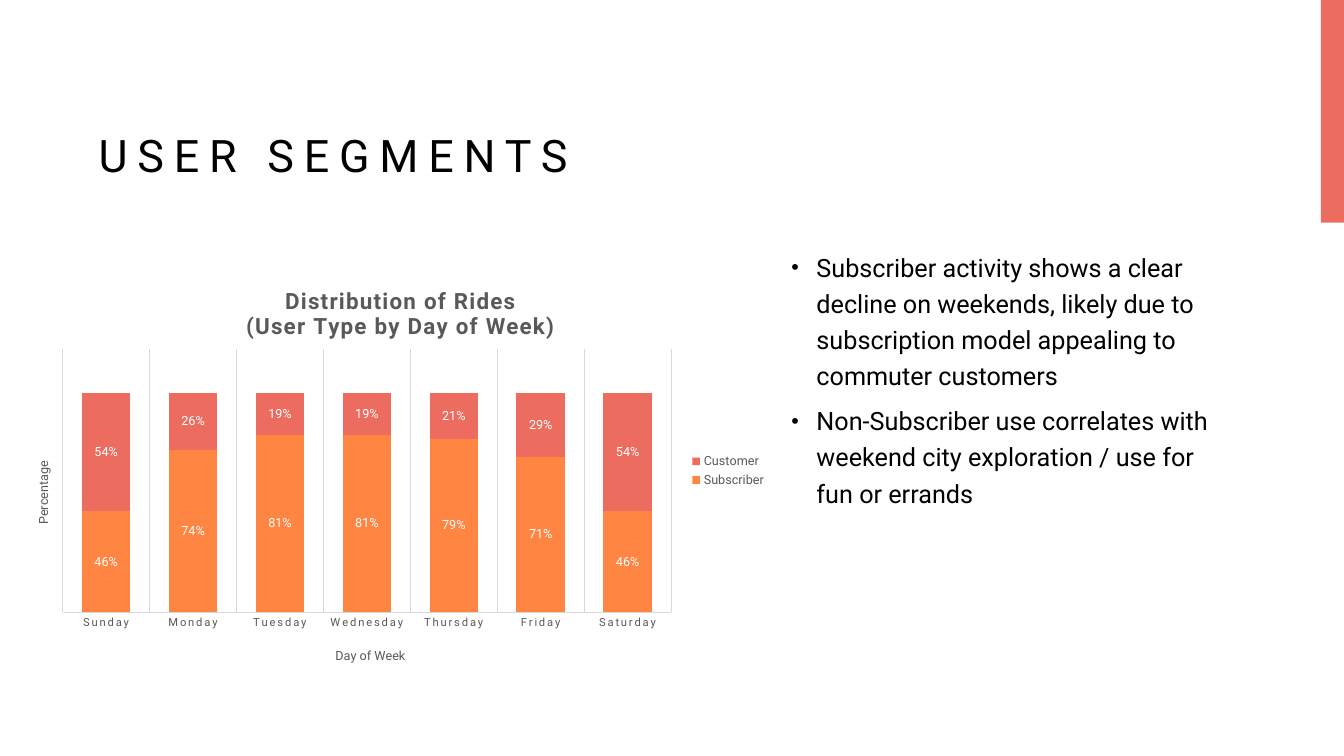
import pptx
import pptx.chart.data
import pptx.dml.color
import pptx.enum.chart
import pptx.enum.shapes
import pptx.enum.text
import pptx.oxml
import pptx.oxml.ns
import pptx.util

WIDTH, HEIGHT = 13.33, 7.5
FONT = "Roboto"
COLORS = {
    "coral": "EC6D60",
    "orange": "FE8542",
    "black": "000000",
    "white": "FFFFFF",
    "gray": "595959",
    "grid": "D9D9D9",
}
DAYS = ["Sunday", "Monday", "Tuesday", "Wednesday", "Thursday", "Friday", "Saturday"]
RIDES = {
    "Subscriber": ("orange", [0.46, 0.74, 0.81, 0.81, 0.79, 0.71, 0.46]),
    "Customer": ("coral", [0.54, 0.26, 0.19, 0.19, 0.21, 0.29, 0.54]),
}
FINDINGS = [
    "Subscriber activity shows a clear decline on weekends, likely due to "
    "subscription model appealing to commuter customers",
    "Non-Subscriber use correlates with weekend city exploration / use for "
    "fun or errands",
]


def color(name):
    return pptx.dml.color.RGBColor.from_string(COLORS[name])


def inches(box):
    return [pptx.util.Inches(length) for length in box]


def format_font(font, size, color_name, bold=False, spacing=0):
    """Style a font; spacing is the extra space between letters in points."""
    font.name = FONT
    font.size = pptx.util.Pt(size)
    font.bold = bold
    font.color.rgb = color(color_name)
    if spacing:
        font._rPr.set("spc", str(round(spacing * 100)))


def write_text(frame, lines, size, color_name="black", bold=False, spacing=0,
               line_spacing=None, space_after=None, bullet=False):
    for index, line in enumerate(lines):
        paragraph = frame.paragraphs[0] if index == 0 else frame.add_paragraph()
        paragraph.line_spacing = line_spacing
        if space_after is not None:
            paragraph.space_after = pptx.util.Pt(space_after)
        if bullet:
            add_bullet(paragraph)
        run = paragraph.add_run()
        run.text = line
        format_font(run.font, size, color_name, bold, spacing)


def add_bullet(paragraph):
    properties = paragraph._p.get_or_add_pPr()
    indent = pptx.util.Inches(0.25)
    properties.set("marL", str(indent))
    properties.set("indent", str(-indent))
    namespace = pptx.oxml.ns.nsdecls("a")
    for tag in ('buSzPct {} val="85000"', 'buFont {} typeface="Arial"', 'buChar {} char="•"'):
        properties.append(pptx.oxml.parse_xml(f"<a:{tag.format(namespace)}/>"))


def place_chart_part(element, index, target=None, **shares):
    """Give a chart part a manual layout in shares of the chart's size."""
    layout_tag = pptx.oxml.ns.qn("c:layout")
    for old in element.findall(layout_tag):
        element.remove(old)
    settings = [("layoutTarget", target)] if target else []
    settings += [(f"{key}Mode", "edge") for key in ("x", "y")]
    settings += shares.items()
    body = "".join(f'<c:{tag} val="{value}"/>' for tag, value in settings)
    namespace = pptx.oxml.ns.nsdecls("c")
    element.insert(index, pptx.oxml.parse_xml(
        f"<c:layout {namespace}><c:manualLayout>{body}</c:manualLayout></c:layout>"))


def add_text_box(slide, box, lines, anchor, **text_format):
    frame = slide.shapes.add_textbox(*inches(box)).text_frame
    frame.word_wrap = True
    frame.vertical_anchor = anchor
    write_text(frame, lines, **text_format)


def add_accent(slide, box):
    shape = slide.shapes.add_shape(pptx.enum.shapes.MSO_SHAPE.RECTANGLE, *inches(box))
    shape.shadow.inherit = False
    shape.fill.solid()
    shape.fill.fore_color.rgb = color("coral")
    shape.line.fill.background()


def format_series(series, color_name):
    series.format.fill.solid()
    series.format.fill.fore_color.rgb = color(color_name)
    labels = series.data_labels
    labels.show_value = True
    labels.number_format = "0%"
    labels.number_format_is_linked = False
    labels.position = pptx.enum.chart.XL_LABEL_POSITION.CENTER
    format_font(labels.font, 9, "white")


def format_axes(chart):
    days = chart.category_axis
    days.major_tick_mark = pptx.enum.chart.XL_TICK_MARK.NONE
    days.has_major_gridlines = True
    for line in (days.format.line, days.major_gridlines.format.line):
        line.color.rgb = color("grid")
        line.width = pptx.util.Pt(0.75)
    format_font(days.tick_labels.font, 8, "gray", spacing=1.2)

    percentages = chart.value_axis
    percentages.minimum_scale = 0
    percentages.maximum_scale = 1.2
    percentages.has_major_gridlines = False
    percentages.visible = False
    percentages.tick_labels.number_format = "0%"
    percentages.tick_labels.number_format_is_linked = False

    titles = [(days, "Day of Week", 0.41, 0.93), (percentages, "Percentage", 0.01, 0.47)]
    for axis, text, x, y in titles:
        write_text(axis.axis_title.text_frame, [text], 9, "gray")
        place_chart_part(axis.axis_title._element, 1, x=x, y=y)
    turned = percentages.axis_title.text_frame._txBody.bodyPr
    turned.set("rot", "-5400000")
    turned.set("vert", "horz")


def add_rides_chart(slide, box):
    data = pptx.chart.data.CategoryChartData(number_format="0%")
    data.categories = DAYS
    for name, (_, values) in RIDES.items():
        data.add_series(name, values)
    chart = slide.shapes.add_chart(
        pptx.enum.chart.XL_CHART_TYPE.COLUMN_STACKED, *inches(box), data).chart
    format_font(chart.font, 10, "black")

    write_text(chart.chart_title.text_frame,
               ["Distribution of Rides", "(User Type by Day of Week)"],
               16, "gray", bold=True, spacing=1)
    place_chart_part(chart.chart_title._element, 1, x=0.29, y=0.04)

    plot = chart.plots[0]
    plot.gap_width = 79
    plot.overlap = 100
    plot.vary_by_categories = False
    for series in plot.series:
        format_series(series, RIDES[series.name][0])
    format_axes(chart)

    chart.has_legend = True
    chart.legend.position = pptx.enum.chart.XL_LEGEND_POSITION.RIGHT
    chart.legend.include_in_layout = False
    format_font(chart.legend.font, 9, "gray")
    place_chart_part(chart._chartSpace.chart.plotArea, 0, target="inner",
                     x=0.05, y=0.2, w=0.81, h=0.65)


def build_segments_slide(presentation):
    slide = presentation.slides.add_slide(presentation.slide_layouts[6])
    anchors = pptx.enum.text.MSO_ANCHOR
    add_text_box(slide, (0.88, 0.4, 11.24, 1.45), ["USER SEGMENTS"], anchors.BOTTOM,
                 size=32, spacing=7, line_spacing=1.2)
    add_accent(slide, (WIDTH - 0.23, 0, 0.23, 2.21))
    add_text_box(slide, (7.75, 2.39, 4.37, 4.29), FINDINGS, anchors.TOP,
                 size=18, line_spacing=1.2, space_after=6, bullet=True)
    add_rides_chart(slide, (0.25, 2.66, 7.45, 4.02))


def main():
    presentation = pptx.Presentation()
    presentation.slide_width, presentation.slide_height = inches((WIDTH, HEIGHT))
    build_segments_slide(presentation)
    presentation.save("out.pptx")


if __name__ == "__main__":
    main()
